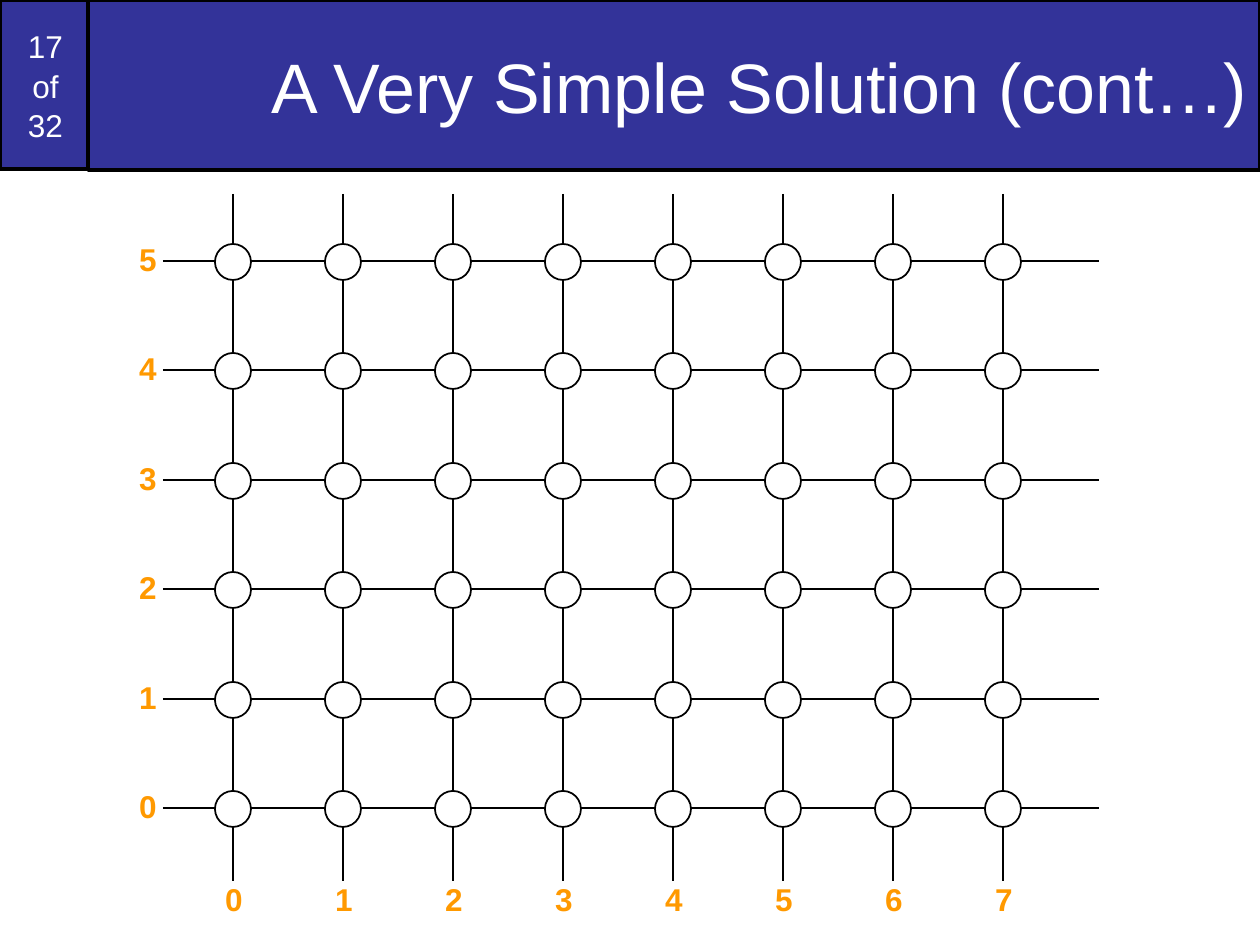
import pptx
import pptx.dml.color
import pptx.enum.shapes
import pptx.enum.text
import pptx.oxml.ns
import pptx.util
from lxml import etree

PX = 914400 // 126
COLORS = {"banner": "333399", "ink": "000000", "paper": "FFFFFF", "label": "FF9900"}
ALIGN = pptx.enum.text.PP_ALIGN
SHAPE = pptx.enum.shapes.MSO_SHAPE


def write_text(shape, text, size=18, color="paper", bold=False,
               align=ALIGN.CENTER, anchor=pptx.enum.text.MSO_ANCHOR.MIDDLE,
               wrap=True, spacing=None):
    frame = shape.text_frame
    frame.word_wrap = wrap
    frame.vertical_anchor = anchor
    paragraph = frame.paragraphs[0]
    paragraph.text = text
    paragraph.alignment = align
    paragraph.line_spacing = spacing
    paragraph.font.name = "Arial"
    paragraph.font.size = pptx.util.Pt(size)
    paragraph.font.bold = bold
    paragraph.font.color.rgb = pptx.dml.color.RGBColor.from_string(COLORS[color])


def paint(shape, fill, width):
    shape.fill.solid()
    shape.fill.fore_color.rgb = pptx.dml.color.RGBColor.from_string(COLORS[fill])
    shape.line.color.rgb = pptx.dml.color.RGBColor.from_string(COLORS["ink"])
    shape.line.width = pptx.util.Pt(width)
    shape.shadow.inherit = False


presentation = pptx.Presentation()
presentation.slide_width = 1260 * PX
presentation.slide_height = 945 * PX
slide = presentation.slides.add_slide(presentation.slide_layouts[5])
shapes = slide.shapes

# Banner: page counter behind the left edge of the title
title = shapes.title
title.left, title.top, title.width, title.height = 88 * PX, 0, 1172 * PX, 170 * PX
paint(title, "banner", 2)
write_text(title, "A Very Simple Solution (cont…)", size=40, align=ALIGN.RIGHT)

counter = shapes.add_shape(SHAPE.RECTANGLE, 0, 0, 91 * PX, 169 * PX)
paint(counter, "banner", 2)
write_text(counter, "17\vof\v32", spacing=1.05)
title.element.addprevious(counter.element)

# Pixel grid: columns run left to right, rows from the bottom up
columns = [233 + 110 * column for column in range(8)]
rows = [round(808 - 109.4 * row) for row in range(6)]

grid_lines = [(x, 194, x, 881) for x in columns] + [(163, y, 1099, y) for y in rows]
for ends in grid_lines:
    line = shapes.add_connector(pptx.enum.shapes.MSO_CONNECTOR.STRAIGHT,
                                *(end * PX for end in ends))
    line.line.color.rgb = pptx.dml.color.RGBColor.from_string(COLORS["ink"])
    line.line.width = pptx.util.Pt(1)
    etree.SubElement(line.element.spPr, pptx.oxml.ns.qn("a:effectLst"))

# Pixel circles at the crossings
for y in rows:
    for x in columns:
        pixel = shapes.add_shape(SHAPE.OVAL, (x - 18) * PX, (y - 17) * PX, 36 * PX, 36 * PX)
        paint(pixel, "paper", 1)

# Axis labels
labels = [(126, y - 27, row) for row, y in enumerate(rows)]
labels += [(x - 21, 874, column) for column, x in enumerate(columns)]
for left, top, number in labels:
    label = shapes.add_textbox(left * PX, top * PX, 43 * PX, 50 * PX)
    write_text(label, str(number), color="label", bold=True, align=ALIGN.RIGHT,
               anchor=pptx.enum.text.MSO_ANCHOR.TOP, wrap=False)

presentation.save("out.pptx")
